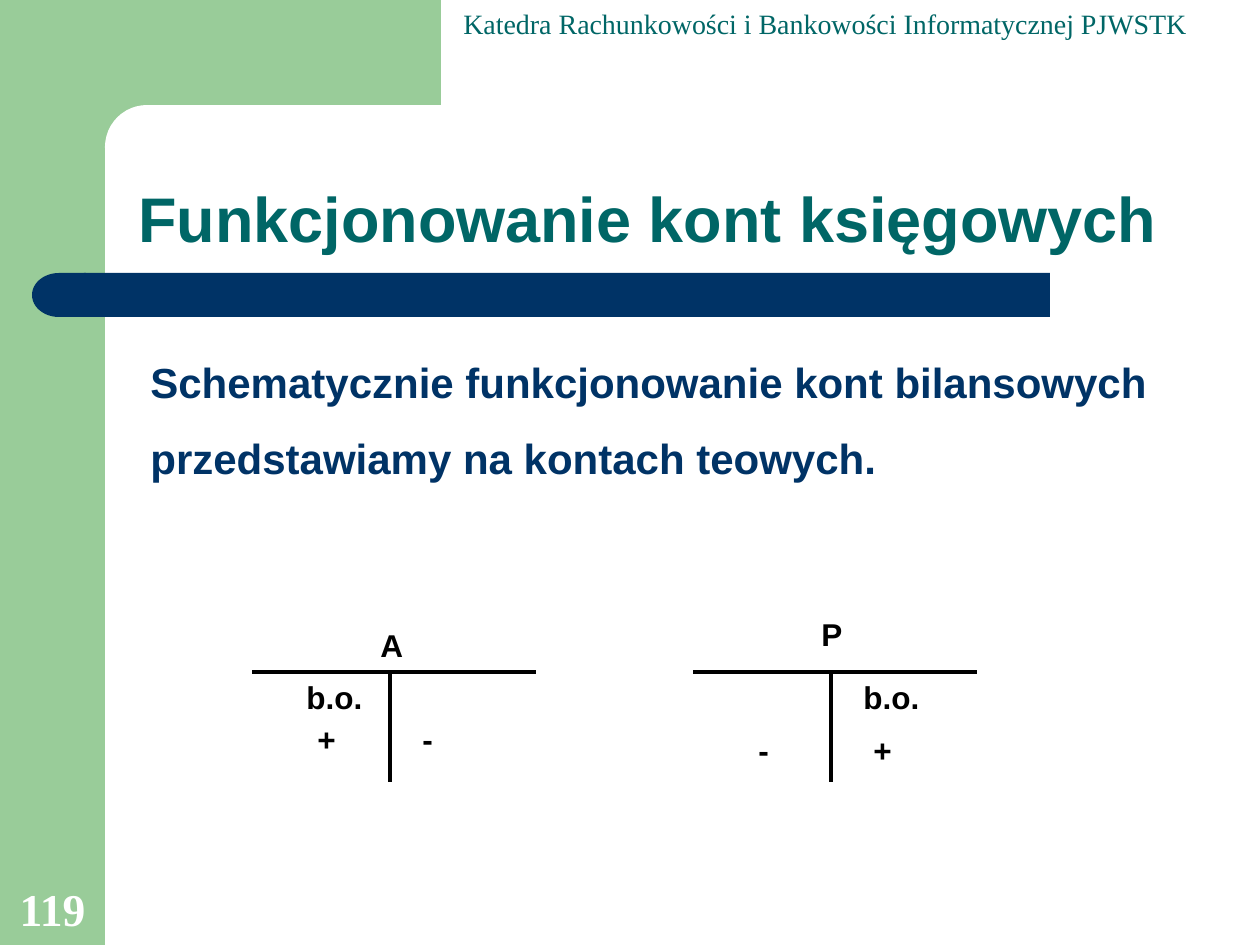
from pptx import Presentation
from pptx.dml.color import RGBColor
from pptx.enum.shapes import MSO_CONNECTOR as CONNECTOR, MSO_SHAPE as SHAPE
from pptx.enum.text import MSO_ANCHOR as ANCHOR, PP_ALIGN as ALIGN
from pptx.oxml.ns import qn
from pptx.util import Pt
from lxml import etree

EMU_PER_PX = 914400 / 126
THEME = {
    "green": RGBColor(0x99, 0xCC, 0x99),
    "navy": RGBColor(0x00, 0x33, 0x66),
    "teal": RGBColor(0x00, 0x66, 0x66),
    "black": RGBColor(0x00, 0x00, 0x00),
    "white": RGBColor(0xFF, 0xFF, 0xFF),
    "sans": "Arial",
    "serif": "Times New Roman",
    "title": Pt(36),
    "number": Pt(26),
    "body": Pt(24),
    "account": Pt(18),
    "header": Pt(16),
    "rule": Pt(2),
}


def px(*lengths):
    return [round(length * EMU_PER_PX) for length in lengths]


def add_text(text, box, size, color, face="sans", bold=True, frame_format=None, **paragraph_format):
    frame = slide.shapes.add_textbox(*px(*box)).text_frame
    frame.word_wrap = True
    paragraph = frame.paragraphs[0]
    paragraph.text = text
    font_format = {"name": THEME[face], "size": THEME[size], "bold": bold}
    for target, values in ((frame, frame_format or {}), (paragraph, paragraph_format),
                           (paragraph.runs[0].font, font_format)):
        for attribute, value in values.items():
            setattr(target, attribute, value)
    paragraph.runs[0].font.color.rgb = THEME[color]
    return paragraph


deck = Presentation()
deck.slide_width, deck.slide_height = px(1260, 945)
slide = deck.slides.add_slide(deck.slide_layouts[6])

# Green frame with a rounded inner corner, and the navy bar
for kind, box, color in (
    (SHAPE.RECTANGLE, (0, 0, 105, 945), "green"),
    (SHAPE.RECTANGLE, (95, 0, 346, 147), "green"),
    (SHAPE.ROUNDED_RECTANGLE, (105, 105, 703, 84), "white"),
    (SHAPE.RECTANGLE, (84, 273, 966, 44), "navy"),
    (SHAPE.FLOWCHART_DELAY, (32, 273, 54, 44), "navy"),
):
    panel = slide.shapes.add_shape(kind, *px(*box))
    panel.shadow.inherit = False
    panel.fill.solid()
    panel.fill.fore_color.rgb = THEME[color]
    panel.line.fill.background()
    if kind == SHAPE.ROUNDED_RECTANGLE:
        panel.adjustments[0] = 0.5
    if kind == SHAPE.FLOWCHART_DELAY:
        panel._element.spPr.find(qn("a:xfrm")).set("flipH", "1")

# Title, body, header and slide number
add_text("Funkcjonowanie kont księgowych", (126, 105, 1103, 157), "title", "teal",
         frame_format={"vertical_anchor": ANCHOR.BOTTOM}, line_spacing=0.9)
body = add_text("Schematycznie funkcjonowanie kont bilansowych przedstawiamy na kontach teowych.",
                (126, 325, 1103, 168), "body", "navy", line_spacing=1.5)
body._p.get_or_add_pPr().set("marL", str(px(12)[0]))
add_text("Katedra Rachunkowości i Bankowości Informatycznej PJWSTK", (451, 0, 766, 47),
         "header", "teal", face="serif", bold=False)
add_text("119", (0, 874, 105, 68), "number", "white", face="serif",
         frame_format={"vertical_anchor": ANCHOR.BOTTOM}, alignment=ALIGN.CENTER)

# T-accounts: assets on the left, liabilities on the right
account_top, account_width, stem_offset, stem_height = 672, 284, 138, 110
for account_left, entries in (
    (252, (("A", 368, 620, 63), ("b.o.", 294, 672, 95), ("+", 305, 714, 63), ("-", 410, 714, 63))),
    (693, (("P", 809, 609, 63), ("b.o.", 851, 672, 95), ("+", 861, 725, 63), ("-", 746, 725, 63))),
):
    stem = account_left + stem_offset
    for ends in (
        (account_left, account_top, account_left + account_width, account_top),
        (stem, account_top, stem, account_top + stem_height),
    ):
        rule = slide.shapes.add_connector(CONNECTOR.STRAIGHT, *px(*ends))
        rule.line.color.rgb = THEME["black"]
        rule.line.width = THEME["rule"]
        etree.SubElement(rule._element.spPr, qn("a:effectLst"))
    for label, left, top, width in entries:
        add_text(label, (left, top, width, 50), "account", "black")

deck.save("out.pptx")
